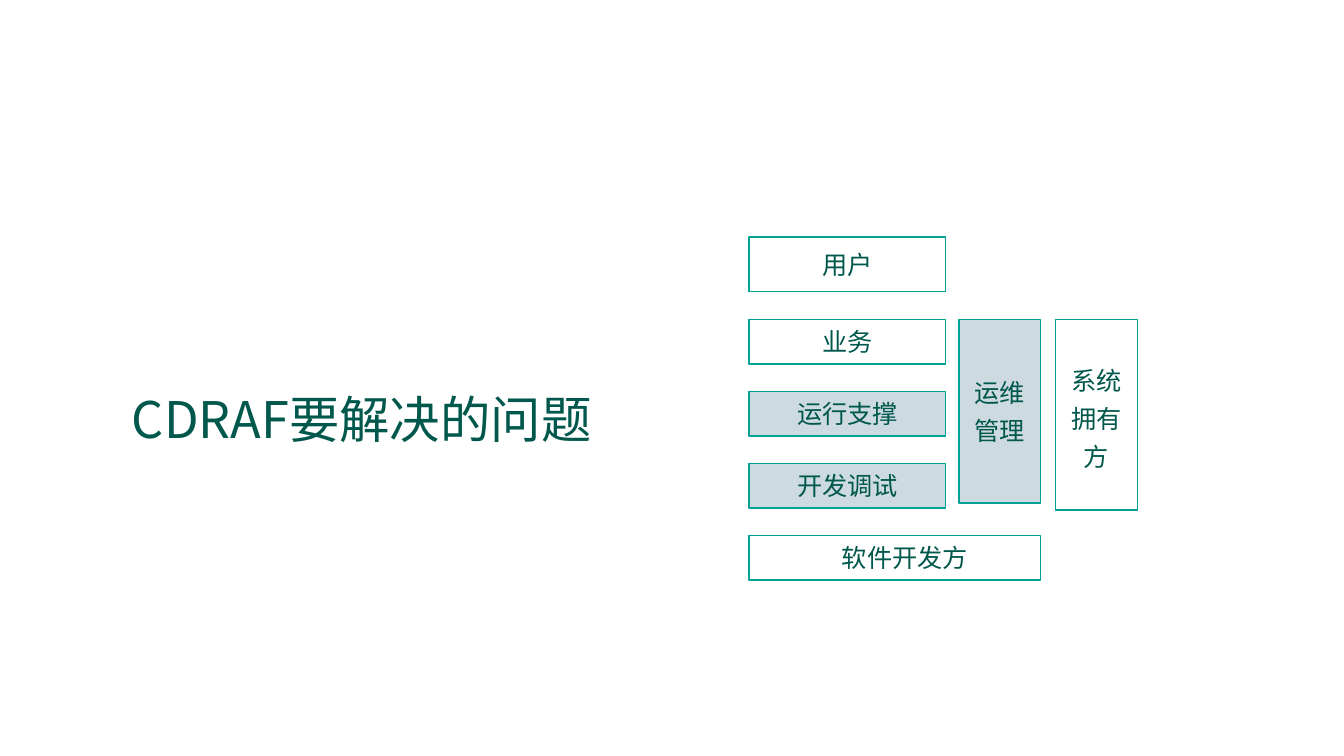
from lxml import etree
from pptx import Presentation
from pptx.dml.color import RGBColor
from pptx.enum.shapes import MSO_SHAPE as SHAPE
from pptx.enum.text import MSO_ANCHOR as ANCHOR, PP_ALIGN as ALIGN
from pptx.oxml.ns import qn
from pptx.util import Inches, Pt

COLORS = {"text": "00574B", "line": "00A295", "fill": "99B5BE"}
CJK_FONT = "Noto Sans CJK SC"

LEFT, LAYER_W = 7.43, 1.95
SIDE_TOP, SIDE_W = 3.17, 0.81
LAYER_H, LAYER_STEP = 0.44, 0.715


def rgb(name):
    return RGBColor.from_string(COLORS[name])


def format_text(tf, size, font, align):
    tf.vertical_anchor = ANCHOR.MIDDLE
    for i, p in enumerate(tf.paragraphs):
        p.alignment = align
        if i:
            p.space_before = Pt(5.8)
        for r in p.runs:
            r.font.size = Pt(size)
            r.font.name = font
            r.font.color.rgb = rgb("text")
            ea = etree.Element(qn("a:ea"), typeface=CJK_FONT)
            r.font._element.find(qn("a:latin")).addnext(ea)


def add_title(slide, text):
    tf = slide.shapes.add_textbox(Inches(1.21), Inches(3.8),
                                  Inches(4.91), Inches(0.71)).text_frame
    tf.word_wrap = False
    tf.text = text
    format_text(tf, 36, CJK_FONT, ALIGN.LEFT)


def add_box(slide, text, left, top, width, height, shaded=False):
    sp = slide.shapes.add_shape(SHAPE.RECTANGLE, Inches(left), Inches(top),
                                Inches(width), Inches(height))
    sp.shadow.inherit = False
    sp.line.color.rgb = rgb("line")
    sp.line.width = Pt(1)
    if shaded:
        sp.fill.solid()
        sp.fill.fore_color.rgb = rgb("fill")
        color = sp._element.spPr.find(qn("a:solidFill"))[0]
        etree.SubElement(color, qn("a:alpha"), val="49000")
    else:
        sp.fill.background()
    tf = sp.text_frame
    tf.margin_left = tf.margin_right = tf.margin_top = tf.margin_bottom = 0
    tf.word_wrap = True
    tf.text = text
    format_text(tf, 18, "Lato", ALIGN.CENTER)
    return sp


def main():
    prs = Presentation()
    prs.slide_width, prs.slide_height = Inches(13.33), Inches(7.5)
    slide = prs.slides.add_slide(prs.slide_layouts[6])

    add_title(slide, "CDRAF要解决的问题")
    add_box(slide, "用户", LEFT, 2.35, LAYER_W, 0.54)
    layers = [("业务", False), ("运行支撑", True), ("开发调试", True)]
    for i, (name, shaded) in enumerate(layers):
        add_box(slide, name, LEFT, SIDE_TOP + i * LAYER_STEP,
                LAYER_W, LAYER_H, shaded)
    developer = add_box(slide, "软件开发方", LEFT,
                        SIDE_TOP + len(layers) * LAYER_STEP, 2.89, LAYER_H)
    developer.text_frame.margin_left = Inches(0.2)
    add_box(slide, "运维\n管理", 9.51, SIDE_TOP, SIDE_W, 1.82, True)
    owner = add_box(slide, "系统\n拥有\n方", 10.47, SIDE_TOP, SIDE_W, 1.89)
    owner.text_frame.margin_top = Inches(0.07)

    prs.save("out.pptx")


if __name__ == "__main__":
    main()
